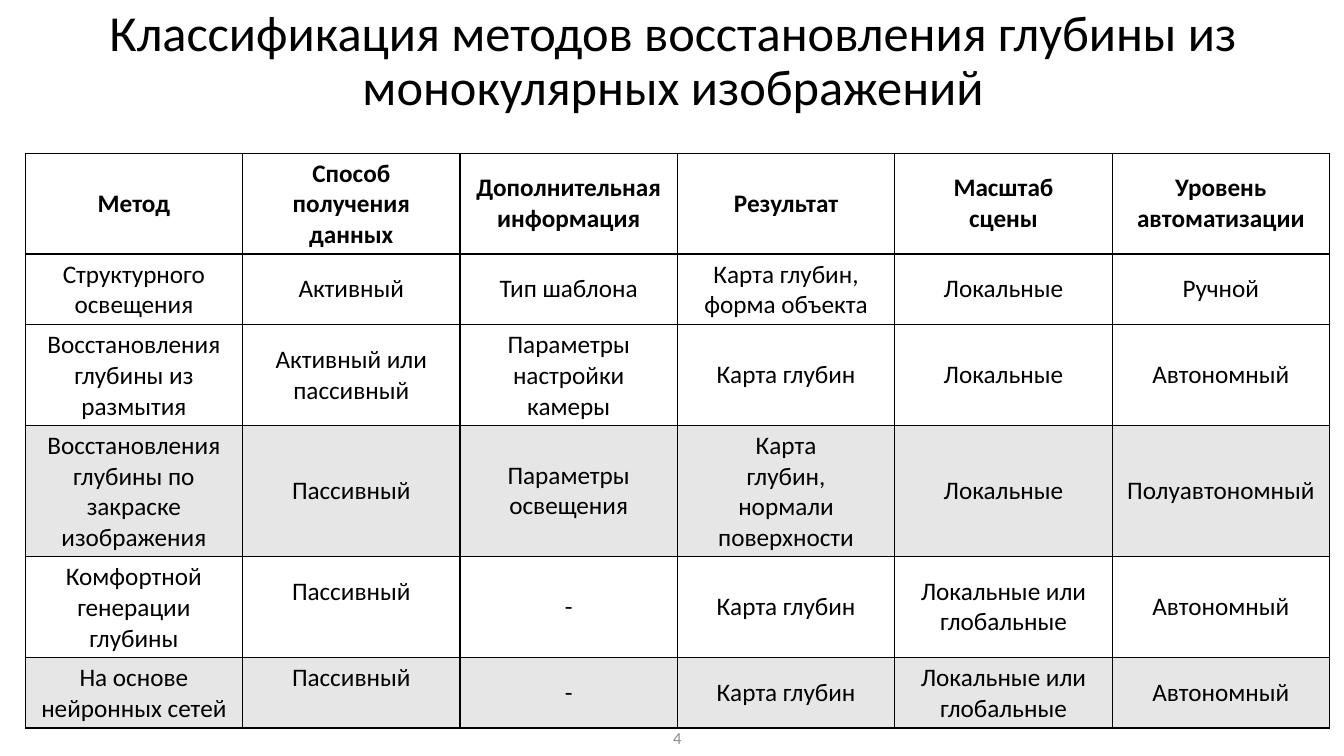
"""Build a slide classifying methods of depth recovery from monocular images."""
from dataclasses import dataclass

from lxml.etree import SubElement
from pptx import Presentation
from pptx.dml.color import RGBColor
from pptx.enum.text import MSO_ANCHOR, PP_ALIGN
from pptx.oxml.ns import qn
from pptx.slide import Slide
from pptx.table import Table, _Cell
from pptx.text.text import TextFrame
from pptx.util import Length, Pt

BLACK = RGBColor(0x00, 0x00, 0x00)
GRAY = RGBColor(0x8C, 0x8C, 0x8C)
SHADE = RGBColor(0xE7, 0xE6, 0xE6)
FONT = "Calibri"
CELL_SIZE = 18
LINE_HEIGHT = 21.6
CELL_PADDING = 7.2
RAISED_MARGIN = Pt(25)


@dataclass(frozen=True)
class Label:
    """A centred piece of text standing on its own."""
    text: str
    left: Length
    top: Length
    width: Length
    height: Length
    size: float
    color: RGBColor
    line_spacing: float = 1.0


@dataclass(frozen=True)
class MethodRow:
    """A table row with its number of text lines and its look."""
    entries: tuple[str, ...]
    lines: int
    bold: bool = False
    shaded: bool = False
    raised_column: int | None = None


TITLE = Label("Классификация методов восстановления глубины из монокулярных изображений",
              Pt(43.9), Pt(15.8), Pt(874), Pt(56.9), 36, BLACK, 0.9)
PAGE_NUMBER = Label("4", Pt(471.6), Pt(512.6), Pt(24.5), Pt(28.8), 12, GRAY)

ROWS = (
    MethodRow(("Метод", "Способ получения данных", "Дополнительная информация",
               "Результат", "Масштаб\nсцены", "Уровень автоматизации"), 3, bold=True),
    MethodRow(("Структурного освещения", "Активный", "Тип шаблона",
               "Карта глубин,\nформа объекта", "Локальные", "Ручной"), 2),
    MethodRow(("Восстановления глубины из размытия", "Активный или пассивный",
               "Параметры настройки камеры", "Карта глубин", "Локальные", "Автономный"), 3),
    MethodRow(("Восстановления глубины по закраске изображения", "Пассивный",
               "Параметры\nосвещения", "Карта\nглубин,\nнормали\nповерхности",
               "Локальные", "Полуавтономный"), 4, shaded=True),
    MethodRow(("Комфортной генерации глубины", "Пассивный", "-", "Карта глубин",
               "Локальные или глобальные", "Автономный"), 3, raised_column=1),
    MethodRow(("На основе нейронных сетей", "Пассивный", "-", "Карта глубин",
               "Локальные или глобальные", "Автономный"), 2, shaded=True, raised_column=1),
)


def write_text(frame: TextFrame, text: str, size: float, color: RGBColor,
               bold: bool = False, line_spacing: float = 1.0) -> None:
    """Fill a text frame with centred paragraphs of one style."""
    frame.text = text
    frame.word_wrap = True
    for paragraph in frame.paragraphs:
        paragraph.alignment = PP_ALIGN.CENTER
        paragraph.line_spacing = line_spacing
        paragraph.font.name = FONT
        paragraph.font.size = Pt(size)
        paragraph.font.bold = bold
        paragraph.font.color.rgb = color


def add_label(slide: Slide, label: Label) -> None:
    """Place a label on the slide."""
    frame = slide.shapes.add_textbox(label.left, label.top, label.width, label.height).text_frame
    frame.vertical_anchor = MSO_ANCHOR.MIDDLE
    write_text(frame, label.text, label.size, label.color, line_spacing=label.line_spacing)


def add_borders(cell: _Cell) -> None:
    """Outline a cell on all four sides."""
    properties = cell._tc.get_or_add_tcPr()
    for side in ("lnL", "lnR", "lnT", "lnB"):
        border = SubElement(properties, qn(f"a:{side}"), w=str(Pt(1)))
        solid = SubElement(border, qn("a:solidFill"))
        SubElement(solid, qn("a:srgbClr"), val=str(BLACK))


def fill_row(table: Table, index: int, row: MethodRow) -> None:
    """Write and style one row of the table."""
    table.rows[index].height = Pt(row.lines * LINE_HEIGHT + CELL_PADDING)
    for column, entry in enumerate(row.entries):
        cell = table.cell(index, column)
        cell.vertical_anchor = MSO_ANCHOR.MIDDLE
        if column == row.raised_column:
            cell.margin_bottom = RAISED_MARGIN
        add_borders(cell)
        if row.shaded:
            cell.fill.solid()
            cell.fill.fore_color.rgb = SHADE
        else:
            cell.fill.background()
        write_text(cell.text_frame, entry, CELL_SIZE, BLACK, row.bold)


def add_methods(slide: Slide) -> None:
    """Place the table of methods on the slide."""
    height = sum(row.lines * LINE_HEIGHT + CELL_PADDING for row in ROWS)
    methods = slide.shapes.add_table(len(ROWS), len(ROWS[0].entries),
                                     Pt(18), Pt(109.4), Pt(931.8), Pt(height)).table
    methods.first_row = False
    methods.horz_banding = False
    for index, row in enumerate(ROWS):
        fill_row(methods, index, row)


def main() -> None:
    """Create the presentation and save it."""
    presentation = Presentation()
    presentation.slide_width = Pt(960)
    presentation.slide_height = Pt(540)
    slide = presentation.slides.add_slide(presentation.slide_layouts[6])
    add_label(slide, TITLE)
    add_methods(slide)
    add_label(slide, PAGE_NUMBER)
    presentation.save("out.pptx")


if __name__ == "__main__":
    main()
